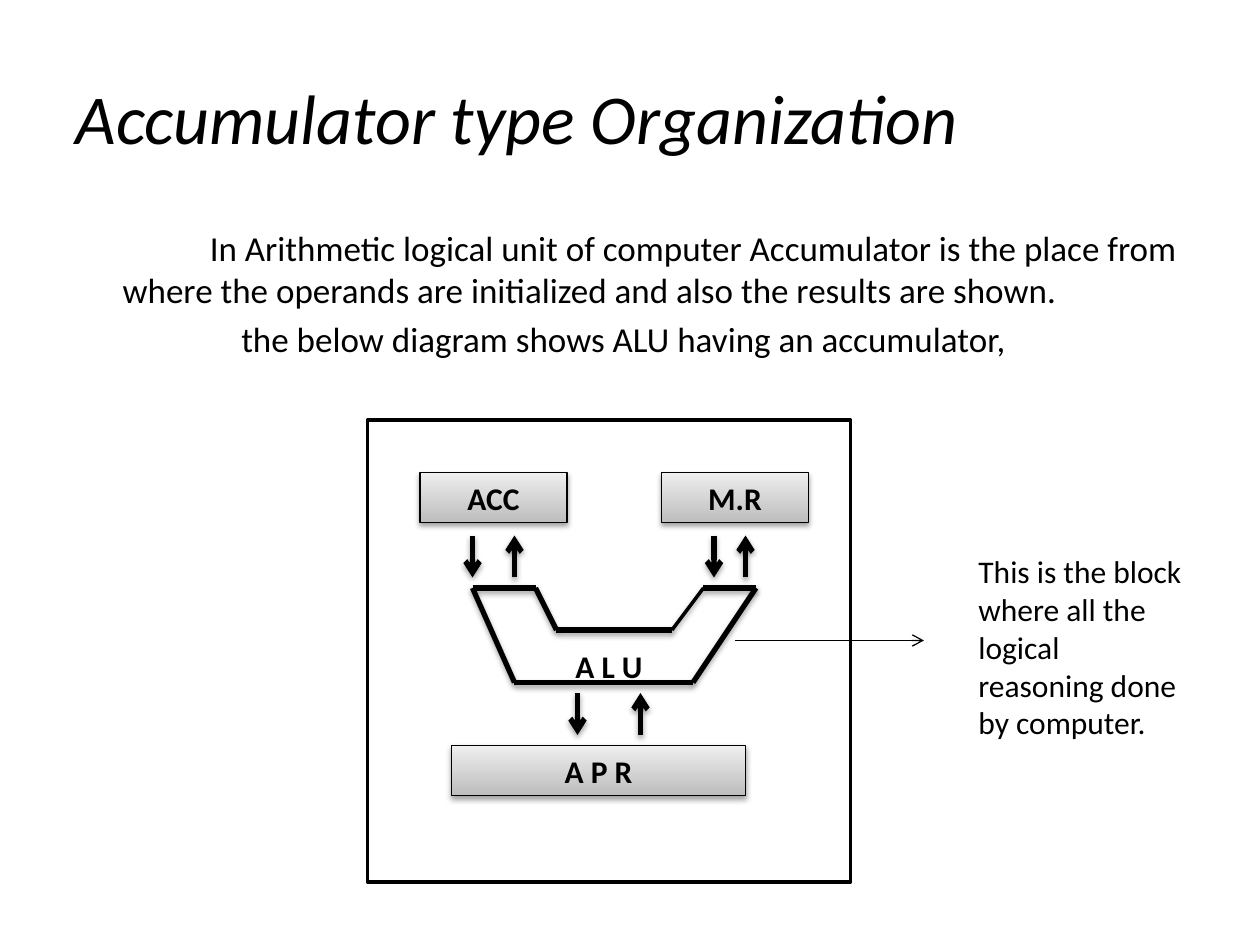
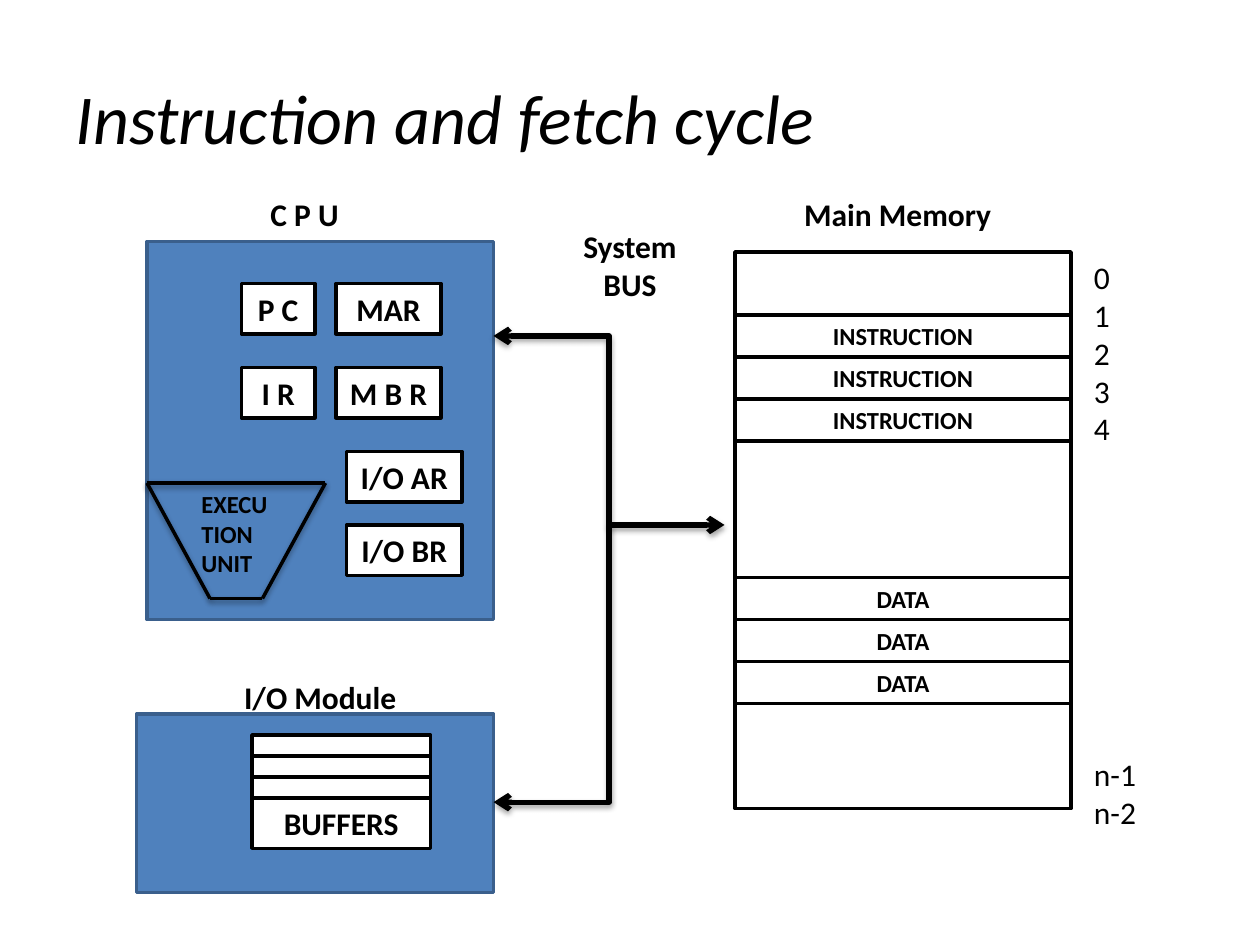
from pptx import Presentation
from pptx.dml.color import RGBColor
from pptx.enum.shapes import MSO_CONNECTOR, MSO_SHAPE
from pptx.enum.text import MSO_ANCHOR, PP_ALIGN
from pptx.oxml import parse_xml
from pptx.oxml.ns import nsdecls, qn
from pptx.util import Pt

PX = 7620  # 120 px to the inch
FONT = "Calibri"
BLACK, WHITE, BLUE, NAVY = "000000", "FFFFFF", "4F81BD", "3A5F8C"
LIGHT, GREY = "EEEEEE", "BDBDBD"
SHADOW = (f'<a:outerShdw {nsdecls("a")} blurRad="40000" dist="22000" dir="5400000" rotWithShape="0">'
          '<a:srgbClr val="000000"><a:alpha val="36000"/></a:srgbClr></a:outerShdw>')
rgb = RGBColor.from_string


def box(s, x, y, w, h, text="", fill=None, edge=BLACK, pt=18, bold=True, align=PP_ALIGN.CENTER):
    """Text box, or a rectangle when a fill is given; "gradient" is raised grey."""
    place = [v * PX for v in (x, y, w, h)]
    if fill is None:
        sp = s.shapes.add_textbox(*place)
    else:
        sp = s.shapes.add_shape(MSO_SHAPE.RECTANGLE, *place)
        sp.shadow.inherit = False
        sp.line.color.rgb = rgb(edge)
        sp.line.width = Pt(2)
        if fill == "gradient":
            sp.line.width = Pt(0.75)
            sp.fill.gradient()
            sp.fill.gradient_angle = 270
            for stop, color in zip(sp.fill.gradient_stops, (LIGHT, GREY)):
                stop.color.rgb = rgb(color)
            sp._element.spPr.find(qn("a:effectLst")).append(parse_xml(SHADOW))
        else:
            sp.fill.solid()
            sp.fill.fore_color.rgb = rgb(fill)
    tf = sp.text_frame
    tf.word_wrap = True
    tf.vertical_anchor = MSO_ANCHOR.TOP
    if text:
        tf.text = text
        for p in tf.paragraphs:
            p.alignment = align
            p.font.name, p.font.size, p.font.bold = FONT, Pt(pt), bold
            p.font.color.rgb = rgb(BLACK)
    return sp


def line(s, x1, y1, x2, y2, pt=3, ends=(), kind=MSO_CONNECTOR.STRAIGHT, shadow=True):
    """Black connector; ends lists headEnd and tailEnd arrowheads."""
    c = s.shapes.add_connector(kind, x1 * PX, y1 * PX, x2 * PX, y2 * PX)
    c.line.color.rgb = rgb(BLACK)
    c.line.width = Pt(pt)
    spPr = c._element.spPr
    for end in ends:
        spPr.find(qn("a:ln")).append(parse_xml(f'<a:{end} {nsdecls("a")} type="arrow"/>'))
    effects = parse_xml(f'<a:effectLst {nsdecls("a")}/>')
    if shadow:
        effects.append(parse_xml(SHADOW))
    spPr.append(effects)
    return c


prs = Presentation()
prs.slide_width, prs.slide_height = 1200 * PX, 900 * PX

# Slides with their shared title style
slides = []
for title in ("Accumulator type Organization", "Instruction and fetch cycle"):
    s = prs.slides.add_slide(prs.slide_layouts[5])
    sp = s.shapes.title
    sp.left, sp.top, sp.width, sp.height = [v * PX for v in (60, 36, 1080, 150)]
    sp.text_frame.text = title
    sp.text_frame.vertical_anchor = MSO_ANCHOR.MIDDLE
    p = sp.text_frame.paragraphs[0]
    p.alignment = PP_ALIGN.LEFT
    p.font.name, p.font.size, p.font.italic = FONT, Pt(40), True
    p.font.color.rgb = rgb(BLACK)
    slides.append(s)
accumulator, fetch = slides

# Slide 1: introduction
s = accumulator
sp = box(s, 60, 210, 1080, 180,
         "In Arithmetic logical unit of computer Accumulator is the place from where the operands "
         "are initialized and also the results are shown.\n"
         "the below diagram shows ALU having an accumulator,",
         pt=20, bold=False, align=PP_ALIGN.LEFT)
for p, indent in zip(sp.text_frame.paragraphs, (83, 113)):
    pPr = p._p.get_or_add_pPr()
    pPr.set("marL", str(45 * PX))
    pPr.set("indent", str(indent * PX))
sp.text_frame.paragraphs[1].space_before = Pt(4)

# Frame and registers
box(s, 350, 400, 460, 440, fill=WHITE)
for x, y, w, name in ((400, 450, 140, "ACC"), (630, 450, 140, "M.R"), (430, 710, 280, "A P R")):
    box(s, x, y, w, 48, name, fill="gradient")

# ALU outline, side by side
outline = [(450, 560), (510, 560), (530, 600), (640, 600),
           (670, 560), (720, 560), (660, 650), (490, 650)]
for i, (start, end) in enumerate(zip(outline, outline[1:] + outline[:1])):
    line(s, *start, *end, pt=2 if i == 3 else 3)
box(s, 500, 610, 160, 48, "A L U")

# Data arrows between the ALU and the registers
for down, up, top in ((450, 490, 510), (680, 710, 510), (550, 610, 660)):
    line(s, down, top, down, top + 40, ends=["tailEnd"])
    line(s, up, top + 40, up, top, ends=["tailEnd"])

# Remark on the ALU
line(s, 700, 610, 880, 610, pt=0.75, ends=["tailEnd"], shadow=False)
box(s, 920, 520, 220, 194, "This is the block where all the logical reasoning done by computer.",
    bold=False, align=PP_ALIGN.LEFT)

# Slide 2: CPU and its registers
s = fetch
box(s, 180, 180, 220, 50, "C P U")
box(s, 140, 230, 330, 360, fill=BLUE, edge=NAVY)
for x, y, w, name in ((230, 270, 70, "P C"), (320, 270, 100, "MAR"),
                      (230, 350, 70, "I R"), (320, 350, 100, "M B R"),
                      (330, 430, 110, "I/O AR"), (330, 500, 110, "I/O BR")):
    box(s, x, y, w, 48, name, fill=WHITE)

# Execution unit
funnel = [(140, 460), (310, 460), (250, 570), (200, 570)]
for start, end in zip(funnel, funnel[1:] + funnel[:1]):
    line(s, *start, *end, pt=2)
box(s, 180, 460, 90, 97, "EXECUTION UNIT", pt=14, align=PP_ALIGN.LEFT)

# I/O module with its buffers
box(s, 130, 680, 340, 170, fill=BLUE, edge=NAVY)
box(s, 210, 640, 190, 50, "I/O Module")
box(s, 240, 760, 170, 48, "BUFFERS", fill=WHITE)
for i in range(3):
    box(s, 240, 700 + 20 * i, 170, 20, fill=WHITE)

# Main memory and its cells
box(s, 740, 180, 230, 48, "Main Memory")
box(s, 700, 240, 320, 530, fill=WHITE)
for top, name in ((300, "INSTRUCTION"), (550, "DATA")):
    for i in range(3):
        box(s, 700, top + 40 * i, 320, 40, name, fill=WHITE, pt=14)

# Memory addresses
sp = box(s, 1030, 240, 80, 557, "0\n1\n2\n3\n4\nn-1\nn-2", bold=False, align=PP_ALIGN.LEFT)
sp.text_frame.paragraphs[5].space_before = Pt(176)

# System bus
line(s, 470, 320, 690, 500, ends=["headEnd", "tailEnd"], kind=MSO_CONNECTOR.ELBOW)
c = line(s, 393, 577, 657, 687, ends=["tailEnd"], kind=MSO_CONNECTOR.ELBOW)
c._element.spPr.find(qn("a:xfrm")).set("rot", "5400000")
c._element.spPr.find(qn("a:prstGeom")).set("prst", "bentConnector2")
box(s, 540, 210, 120, 85, "System\nBUS")

prs.save("out.pptx")
